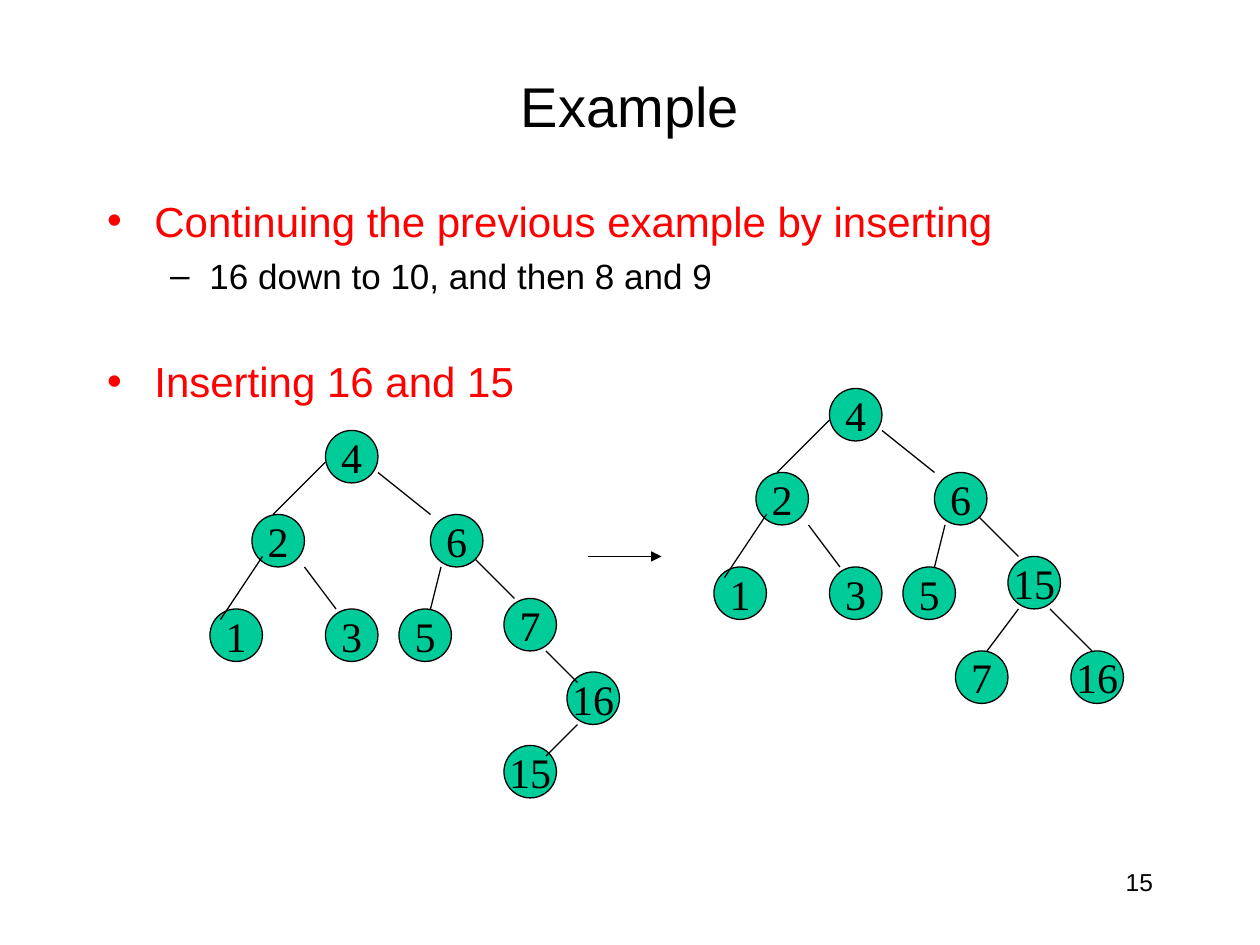
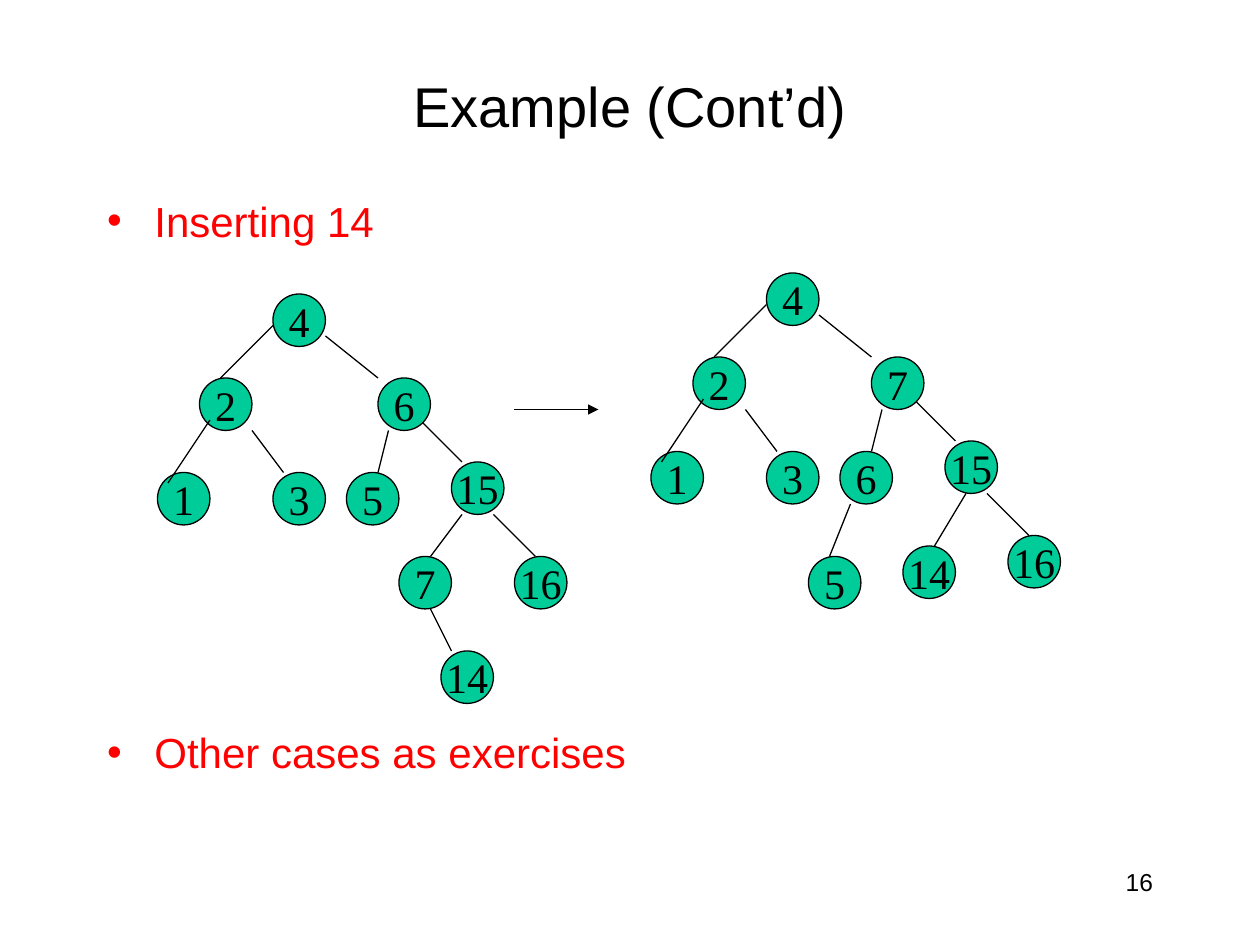
from lxml import etree
from pptx import Presentation
from pptx.dml.color import RGBColor
from pptx.enum.shapes import MSO_CONNECTOR, MSO_SHAPE
from pptx.enum.text import MSO_ANCHOR, MSO_AUTO_SIZE, PP_ALIGN
from pptx.oxml.ns import qn
from pptx.util import Emu, Pt

CENTER, RIGHT = PP_ALIGN.CENTER, PP_ALIGN.RIGHT
MIDDLE, NO_FIT = MSO_ANCHOR.MIDDLE, MSO_AUTO_SIZE.NONE
ELLIPSE, STRAIGHT = MSO_SHAPE.OVAL, MSO_CONNECTOR.STRAIGHT
PX = 9525
GRID = 8 * PX
NODE = 5 * GRID
BLACK, RED, GREEN = "000000", "FF0000", "00CC99"

BASE_SPOTS = [(0, 0), (-7, 8), (10, 8), (-11, 17), (0, 17), (7, 17), (17, 16)]
BASE_EDGES = [(0, 3, -5, 8), (5, 4, 10, 8), (14, 12, 18, 16),
              (-2, 13, 1, 17), (11, 13, 10, 17)]
LEFT_EDGE = (-6, 12, -10, 18)
TO_16 = (21, 21, 25, 25)
TO_7 = (18, 21, 15, 25)

slides = [
    dict(title="Example", number="15",
         body=[("Continuing the previous example by inserting", 0, 0),
               ("16 down to 10, and then 8 and 9", 1, 5),
               ("Inserting 16 and 15", 0, 34)],
         arrow=(56, 53, 63, 53),
         trees=[dict(root=(31, 41), keys=[4, 2, 6, 1, 3, 5, 7],
                     extra=[(16, 23, 23), (15, 17, 30)],
                     edges=[(21, 21, 24, 24), (24, 28, 21, 31)]),
                dict(root=(79, 37), keys=[4, 2, 6, 1, 3, 5, 15],
                     extra=[(16, 23, 25), (7, 12, 25)],
                     edges=[TO_16, TO_7])]),
    dict(title="Example (Cont’d)", number="16",
         body=[("Inserting 14", 0, 0), ("Other cases as exercises", 0, 275)],
         arrow=(49, 39, 57, 39),
         trees=[dict(root=(26, 28), keys=[4, 2, 6, 1, 3, 5, 15],
                     extra=[(16, 23, 25), (7, 12, 25), (14, 16, 34)],
                     edges=[TO_16, TO_7, (15, 30, 17, 34)]),
                dict(root=(73, 26), keys=[4, 2, 7, 1, 3, 6, 15],
                     extra=[(16, 23, 25), (5, 4, 27), (14, 13, 26)],
                     edges=[TO_16, (8, 22, 6, 27), (19, 21, 16, 26)])]),
]


def write(p, text, size=24, font="Arial", color=BLACK, align=None, level=0, before=0):
    p.level = level
    p.alignment = align
    p.space_before = Pt(before)
    r = p.add_run()
    r.text = text
    r.font.size = Pt(size)
    r.font.name = font
    r.font.color.rgb = RGBColor.from_string(color)


def add_line(s, ends, origin=(0, 0), arrow=False):
    x1, y1, x2, y2 = [(v + origin[i % 2]) * GRID for i, v in enumerate(ends)]
    c = s.shapes.add_connector(STRAIGHT, x1, y1, x2, y2)
    c.line.width = Pt(0.75)
    c.line.color.rgb = RGBColor.from_string(BLACK)
    if arrow:
        etree.SubElement(c.line._get_or_add_ln(), qn("a:tailEnd"), type="triangle")
    etree.SubElement(c._element.spPr, qn("a:effectLst"))


prs = Presentation()
prs.slide_width, prs.slide_height = Emu(960 * PX), Emu(720 * PX)

for item in slides:
    s = prs.slides.add_slide(prs.slide_layouts[1])
    title, body = s.shapes.title, s.placeholders[1]
    number = s.shapes.add_textbox(0, 0, 0, 0)
    for sp, box in ((title, (72, 40, 816, 80)), (body, (72, 144, 816, 496)),
                    (number, (688, 656, 200, 48))):
        sp.left, sp.top, sp.width, sp.height = [Emu(v * PX) for v in box]
        sp.text_frame.word_wrap = True
        sp.text_frame.auto_size = NO_FIT
    title.text_frame.vertical_anchor = MIDDLE
    write(title.text_frame.paragraphs[0], item["title"], size=32, align=CENTER)
    write(number.text_frame.paragraphs[0], item["number"], size=14, align=RIGHT)

    tf = body.text_frame
    for i, (text, level, before) in enumerate(item["body"]):
        p = tf.add_paragraph() if i else tf.paragraphs[0]
        write(p, text, size=20 if level else 24, color=BLACK if level else RED,
              level=level, before=before)

    for tree in item["trees"]:
        root = tree["root"]
        for ends in BASE_EDGES:
            add_line(s, ends, root)
        nodes = [(key, x, y) for key, (x, y) in zip(tree["keys"], BASE_SPOTS)]
        for key, x, y in nodes + tree["extra"]:
            sp = s.shapes.add_shape(ELLIPSE, (root[0] + x) * GRID,
                                    (root[1] + y) * GRID, NODE, NODE)
            sp.shadow.inherit = False
            sp.fill.solid()
            sp.fill.fore_color.rgb = RGBColor.from_string(GREEN)
            sp.line.color.rgb = RGBColor.from_string(BLACK)
            sp.line.width = Pt(0.75)
            tf = sp.text_frame
            tf.word_wrap = False
            tf.vertical_anchor = MIDDLE
            write(tf.paragraphs[0], str(key), font="Times New Roman", align=CENTER)
        for ends in [LEFT_EDGE] + tree["edges"]:
            add_line(s, ends, root)

    add_line(s, item["arrow"], arrow=True)

prs.save("out.pptx")
